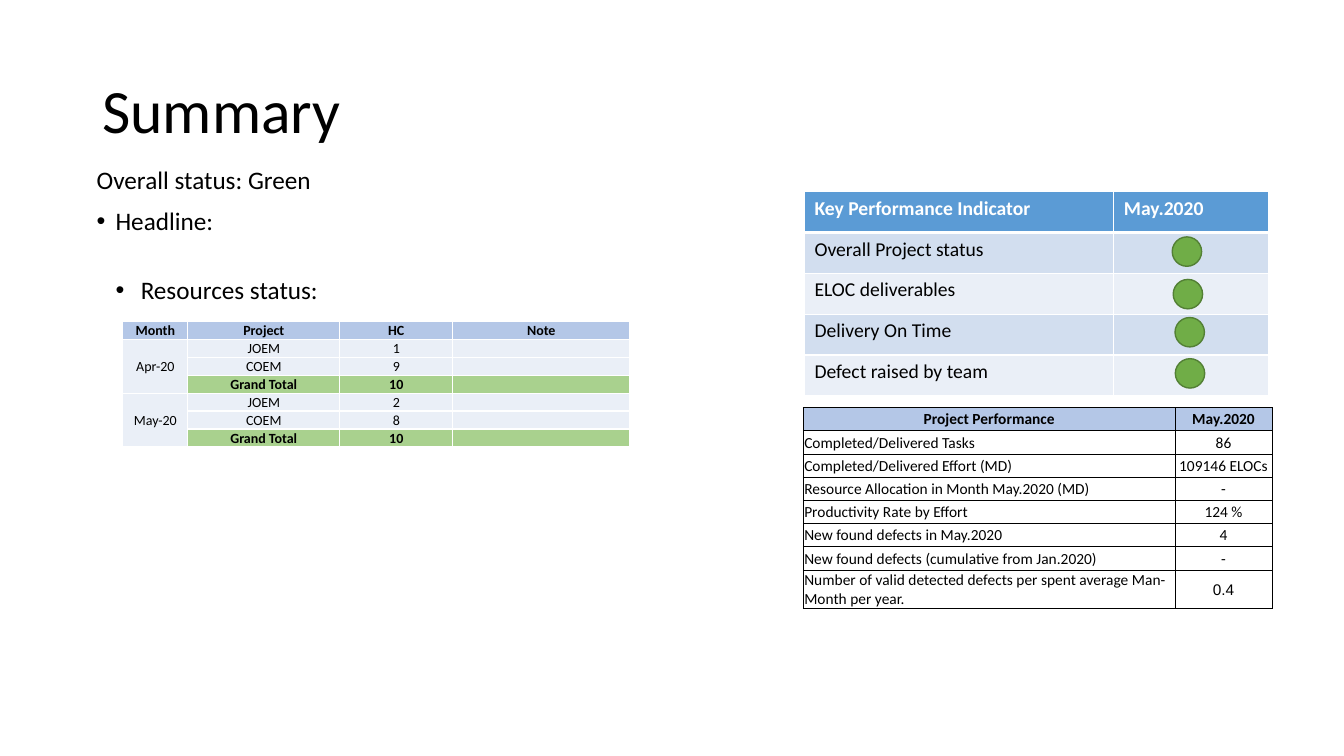
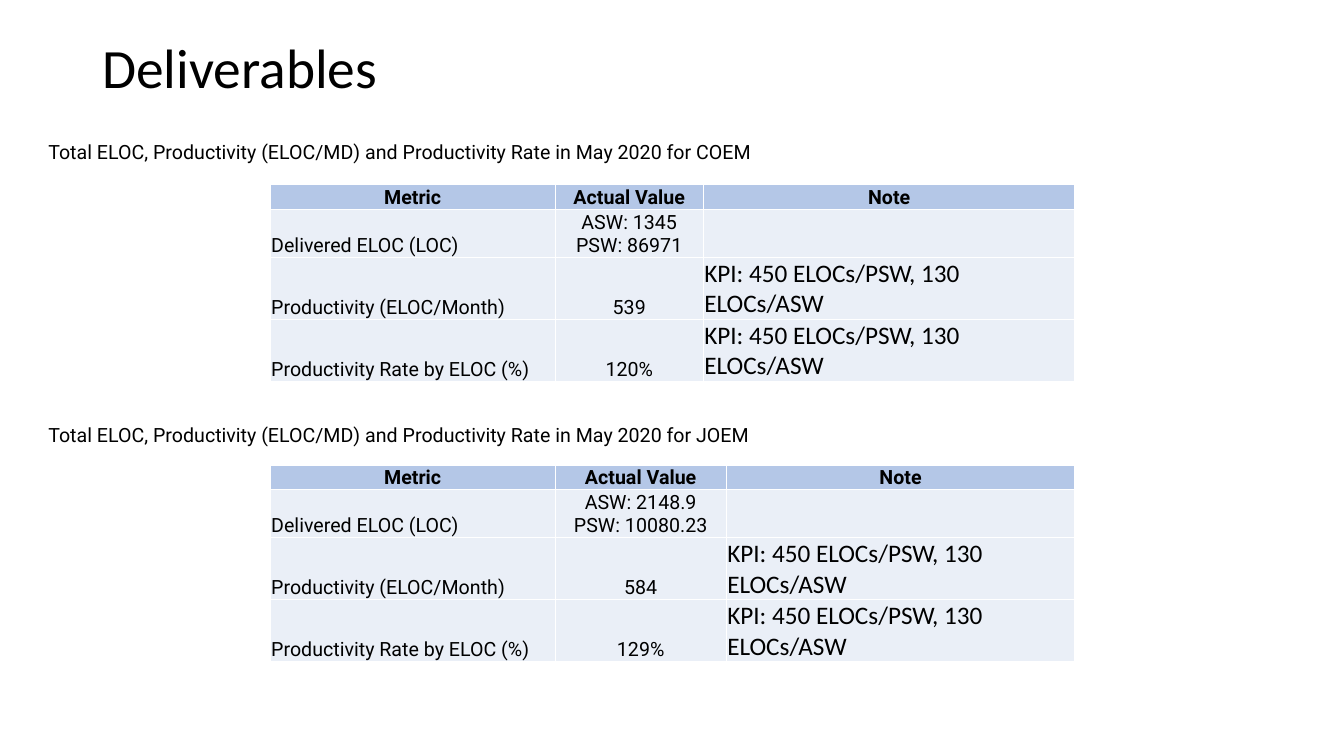
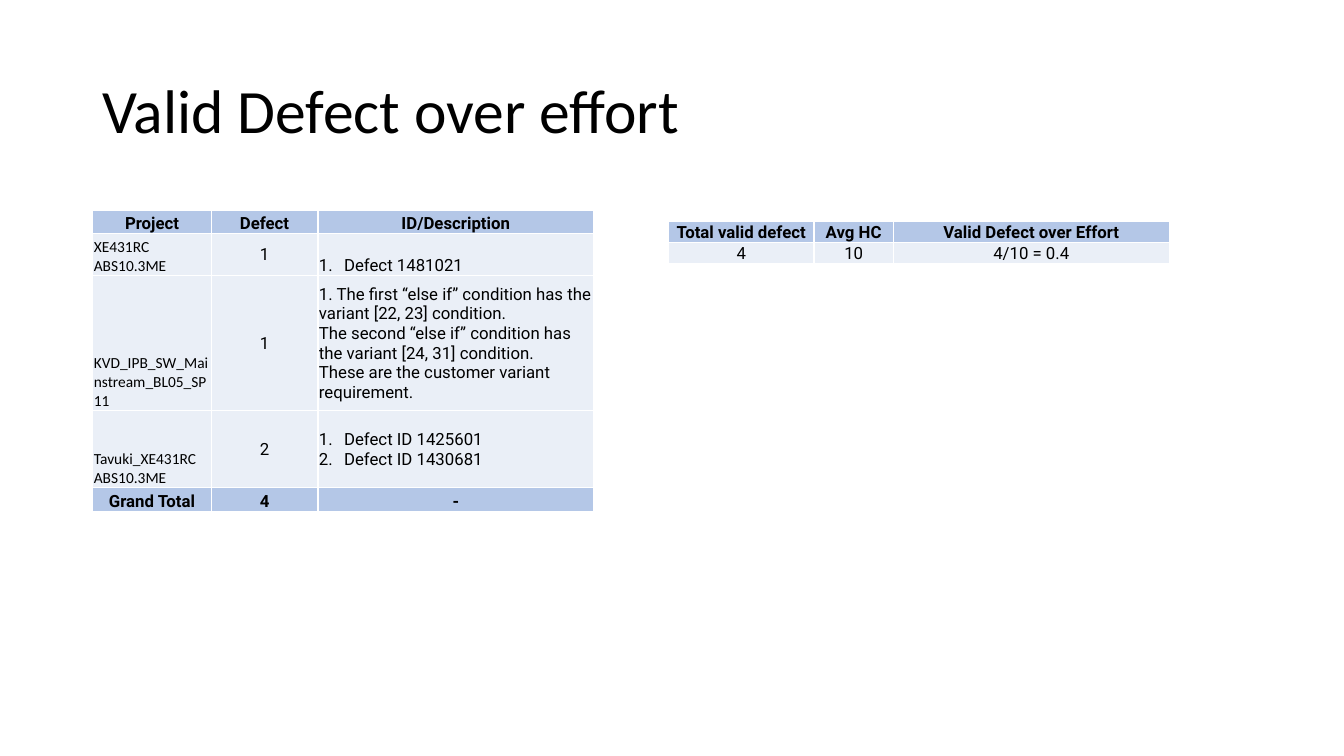
import dataclasses

import lxml.etree
import pptx
import pptx.dml.color
import pptx.enum.shapes
import pptx.enum.text
import pptx.oxml.ns
import pptx.util

Pt = pptx.util.Pt
RGBColor = pptx.dml.color.RGBColor
qn = pptx.oxml.ns.qn
Align = pptx.enum.text.PP_ALIGN
Anchor = pptx.enum.text.MSO_ANCHOR

BLACK = RGBColor(0x00, 0x00, 0x00)
WHITE = RGBColor(0xFF, 0xFF, 0xFF)
BLUE = RGBColor(0x5B, 0x9B, 0xD5)
HEADER = RGBColor(0xB4, 0xC7, 0xE7)
BAND = RGBColor(0xD2, 0xDE, 0xEF)
PALE = RGBColor(0xEA, 0xEF, 0xF7)
TOTAL = RGBColor(0xA9, 0xD1, 0x8E)
GREEN = RGBColor(0x70, 0xAD, 0x47)
DARK_GREEN = RGBColor(0x53, 0x80, 0x35)

TIGHT = (0.72, 0.72, 0.72, 0)
ROOMY = (7.2, 3.6, 7.2, 3.6)


@dataclasses.dataclass(frozen=True)
class Look:
    size: float
    font: str = "Calibri"
    color: RGBColor = BLACK
    bold: bool = False
    fill: RGBColor = None
    align: Align = Align.CENTER
    anchor: Anchor = Anchor.BOTTOM
    insets: tuple = TIGHT
    numbered: bool = False
    border: RGBColor = WHITE
    width: float = 1
    bottom: float = None

    def but(self, **changes):
        return dataclasses.replace(self, **changes)


class Deck:
    def __init__(self):
        self.prs = pptx.Presentation()
        self.prs.slide_width, self.prs.slide_height = Pt(960), Pt(540)
        self.s = None

    def slide(self, title, height=104.4, size=44):
        self.s = self.prs.slides.add_slide(self.prs.slide_layouts[6])
        tf = self.text(title, 66, 28.8, 828, height, Look(size))
        tf.vertical_anchor = Anchor.MIDDLE
        tf.paragraphs[0].line_spacing = 0.9

    def text(self, text, left, top, width, height, look):
        tf = self.s.shapes.add_textbox(Pt(left), Pt(top), Pt(width), Pt(height)).text_frame
        tf.word_wrap = True
        self.put_text(tf, text, look.but(align=Align.LEFT))
        return tf

    def put_text(self, tf, text, look):
        tf.text = text
        for p in tf.paragraphs:
            p.alignment = look.align
            if look.numbered:
                self.bullet(p, 18, 18, "buAutoNum", type="arabicPeriod")
            for r in p.runs:
                r.font.name = look.font
                r.font.size = Pt(look.size)
                r.font.bold = look.bold
                r.font.color.rgb = look.color
            if not p.runs:
                lxml.etree.SubElement(p._p, qn("a:endParaRPr"), sz=str(round(look.size * 100)))

    def bullet(self, p, margin, hang, kind, **mark):
        pPr = p._p.get_or_add_pPr()
        pPr.set("marL", str(Pt(margin)))
        pPr.set("indent", str(-Pt(hang)))
        lxml.etree.SubElement(pPr, qn("a:buFont"), typeface="Arial")
        lxml.etree.SubElement(pPr, qn("a:" + kind), **mark)

    def table(self, left, top, widths, heights, rows, merges=()):
        frame = self.s.shapes.add_table(len(rows), len(widths), Pt(left), Pt(top),
                                        Pt(sum(widths)), Pt(sum(heights)))
        table = frame.table
        table.first_row = table.horz_banding = False
        for column, width in zip(table.columns, widths):
            column.width = Pt(width)
        for y, (texts, looks) in enumerate(rows):
            table.rows[y].height = Pt(heights[y])
            for x, (text, look) in enumerate(zip(texts, looks)):
                self.cell(table.cell(y, x), text, look)
        for first, last in merges:
            table.cell(*first).merge(table.cell(*last))

    def cell(self, cell, text, look):
        self.put_text(cell.text_frame, text, look)
        cell.vertical_anchor = look.anchor
        (cell.margin_left, cell.margin_top,
         cell.margin_right, cell.margin_bottom) = map(Pt, look.insets)
        tcPr = cell._tc.get_or_add_tcPr()
        for side in "LRTB":
            width = look.bottom if side == "B" and look.bottom else look.width
            ln = lxml.etree.SubElement(tcPr, qn("a:ln" + side), w=str(Pt(width)))
            fill = lxml.etree.SubElement(ln, qn("a:solidFill"))
            lxml.etree.SubElement(fill, qn("a:srgbClr"), val=str(look.border))
        if look.fill is None:
            cell.fill.background()
        else:
            cell.fill.solid()
            cell.fill.fore_color.rgb = look.fill

    def dot(self, left, top, size=21):
        sp = self.s.shapes.add_shape(pptx.enum.shapes.MSO_SHAPE.OVAL,
                                     Pt(left), Pt(top), Pt(size), Pt(size))
        sp.shadow.inherit = False
        sp.fill.solid()
        sp.fill.fore_color.rgb = GREEN
        sp.line.color.rgb = DARK_GREEN
        sp.line.width = Pt(1)


def summary(deck):
    deck.slide("Summary")
    tf = deck.text("Overall status: Green\nHeadline:\nResources status:",
                   62, 116, 416, 252.7, Look(18))
    for p, before, indent in zip(tf.paragraphs, (0, 10, 29.8), (None, (13.5, 13.5), (31.5, 18))):
        p.line_spacing = 0.9
        p.space_before = Pt(before)
        if indent:
            deck.bullet(p, *indent, "buChar", char="•")

    name = Look(11, align=Align.LEFT, anchor=Anchor.MIDDLE, border=BLACK, width=0.5)
    value = name.but(align=Align.CENTER)
    head = value.but(bold=True, fill=HEADER)
    facts = [
        ("Completed/Delivered Tasks", "86"),
        ("Completed/Delivered Effort (MD)", "109146 ELOCs"),
        ("Resource Allocation in Month May.2020 (MD)", "-"),
        ("Productivity Rate by Effort", "124 %"),
        ("New found defects in May.2020", "4"),
        ("New found defects (cumulative from Jan.2020)", "-"),
    ]
    rows = [(("Project Performance", "May.2020"), (head, head))]
    rows += [(fact, (name, value)) for fact in facts]
    rows.append((("Number of valid detected defects per spent average Man-Month per year.", "0.4"),
                 (name, value.but(font="Arial"))))
    deck.table(573.8, 291, (265.7, 69), [16.6] * 7 + [27.8], rows)

    kpi = Look(14, align=Align.LEFT, anchor=Anchor.TOP, insets=ROOMY)
    head = kpi.but(color=WHITE, bold=True, fill=BLUE, bottom=3)
    rows = [(("Key Performance Indicator", "May.2020"), (head, head))]
    names = ("Overall Project status", "ELOC deliverables", "Delivery On Time", "Defect raised by team")
    for i, text in enumerate(names):
        rows.append(((text, ""), [kpi.but(fill=(BAND, PALE)[i % 2])] * 2))
    deck.table(574.6, 136.8, (221, 110.6), [29.2] * 5, rows)
    for left, top in ((837.3, 169.2), (838, 199.6), (839.3, 226.8), (839.5, 256.2)):
        deck.dot(left, top)

    body = Look(10, fill=PALE)
    head = body.but(bold=True, fill=HEADER)
    month = body.but(anchor=Anchor.MIDDLE)
    total = body.but(bold=True, fill=TOTAL)
    rows = [(("Month", "Project", "HC", "Note"), [head] * 4)]
    for label, joem, coem in (("Apr-20", 1, 9), ("May-20", 2, 8)):
        rows += [
            ((label, "JOEM", str(joem), ""), [month] + [body] * 3),
            (("", "COEM", str(coem), ""), [month] + [body] * 3),
            (("", "Grand Total", str(joem + coem), ""), [month] + [total] * 3),
        ]
    deck.table(87.8, 229.7, (46.3, 108.7, 80.6, 126.6), [12.8] * 7, rows,
               [((1, 0), (3, 0)), ((4, 0), (6, 0))])


def deliverables(deck):
    deck.slide("Deliverables", 42.5, 39.6)
    value = Look(14, "Roboto", fill=PALE)
    head = value.but(bold=True, fill=HEADER)
    metric = value.but(align=Align.LEFT)
    note = metric.but(font="Calibri", size=18)
    kpi = "KPI: 450 ELOCs/PSW, 130 ELOCs/ASW"
    groups = (
        ("COEM", 96.5, 131.8, (105.8, 265.5), "ASW: 1345\nPSW: 86971", "539", "120%"),
        ("JOEM", 298.8, 332.2, (122.2, 249.1), "ASW: 2148.9\nPSW: 10080.23", "584", "129%"),
    )
    for team, text_top, table_top, widths, eloc, monthly, rate in groups:
        deck.text(f"Total ELOC, Productivity (ELOC/MD) and Productivity Rate in May 2020 for {team}",
                  27.4, text_top, 545, 24.2, Look(14, "Roboto"))
        rows = [
            (("Metric", "Actual Value", "Note"), [head] * 3),
            (("Delivered ELOC (LOC)", eloc, ""), (metric, value, metric)),
            (("Productivity (ELOC/Month)", monthly, kpi), (metric, value, note)),
            (("Productivity Rate by ELOC (%)", rate, kpi), (metric, value, note)),
        ]
        deck.table(193, table_top, (203.6, *widths), (17.2, 34, 44.3, 44.3), rows)


def valid_defects(deck):
    deck.slide("Valid Defect over effort")
    total = Look(12, "Roboto", bold=True, fill=HEADER)
    value = total.but(bold=False, fill=PALE, anchor=Anchor.MIDDLE)
    project = Look(11, fill=PALE, align=Align.LEFT)
    detail = value.but(align=Align.LEFT)
    numbered = detail.but(numbered=True)
    reason = ("1. The first “else if” condition has the variant [22, 23] condition.\n"
              "The second “else if” condition has the variant [24, 31] condition.\n"
              "These are the customer variant requirement.")
    rows = [
        (("Project", "Defect", "ID/Description"), [total] * 3),
        (("XE431RC ABS10.3ME", "1", "Defect 1481021"),
         (project, value, numbered.but(anchor=Anchor.BOTTOM))),
        (("KVD_IPB_SW_Mainstream_BL05_SP11", "1", reason), (project, value, detail)),
        (("Tavuki_XE431RC ABS10.3ME", "2", "Defect ID 1425601\nDefect ID 1430681"),
         (project, value, numbered)),
        (("Grand Total", "4", "-"), [total] * 3),
    ]
    deck.table(66.3, 150, (84.6, 76.2, 197), (16.8, 30, 96.4, 55.2, 16.8), rows)

    rows = [
        (("Total valid defect", "Avg HC", "Valid Defect over Effort"), [total] * 3),
        (("4", "10", "4/10 = 0.4"), [value] * 3),
    ]
    deck.table(477.6, 158.2, (103.8, 56.8, 197), (15, 15), rows)


def main():
    deck = Deck()
    summary(deck)
    deliverables(deck)
    valid_defects(deck)
    deck.prs.save("out.pptx")


if __name__ == "__main__":
    main()
